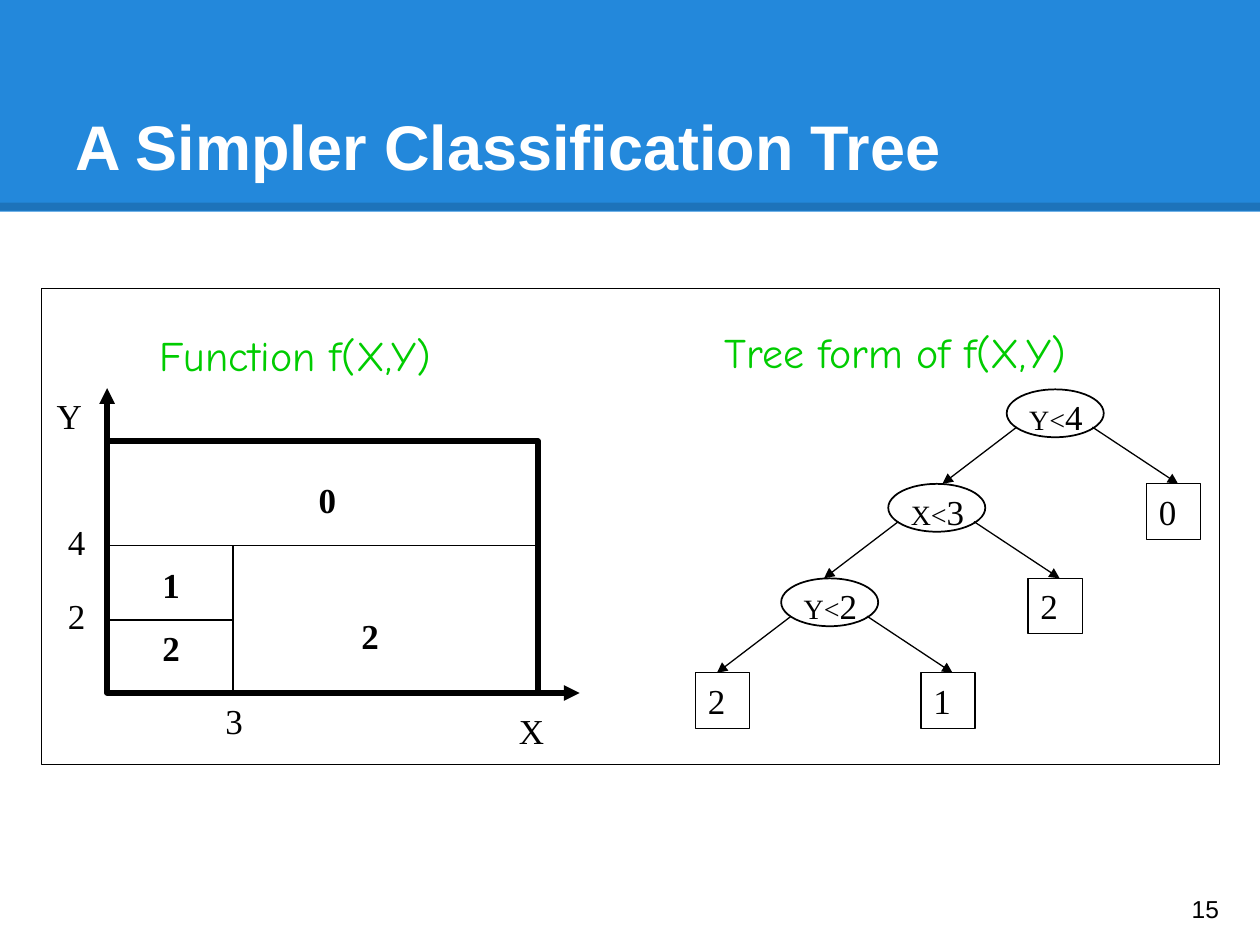
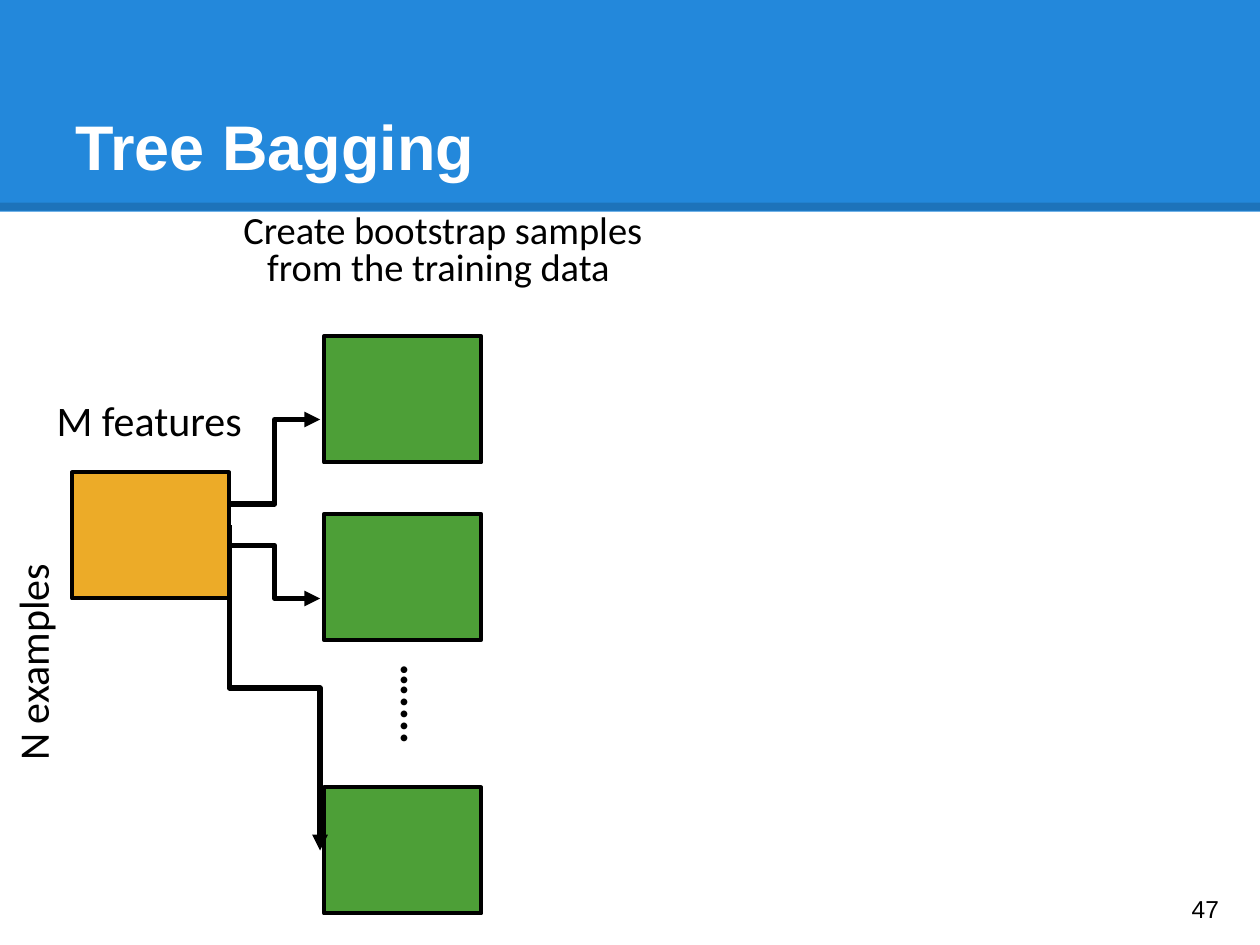
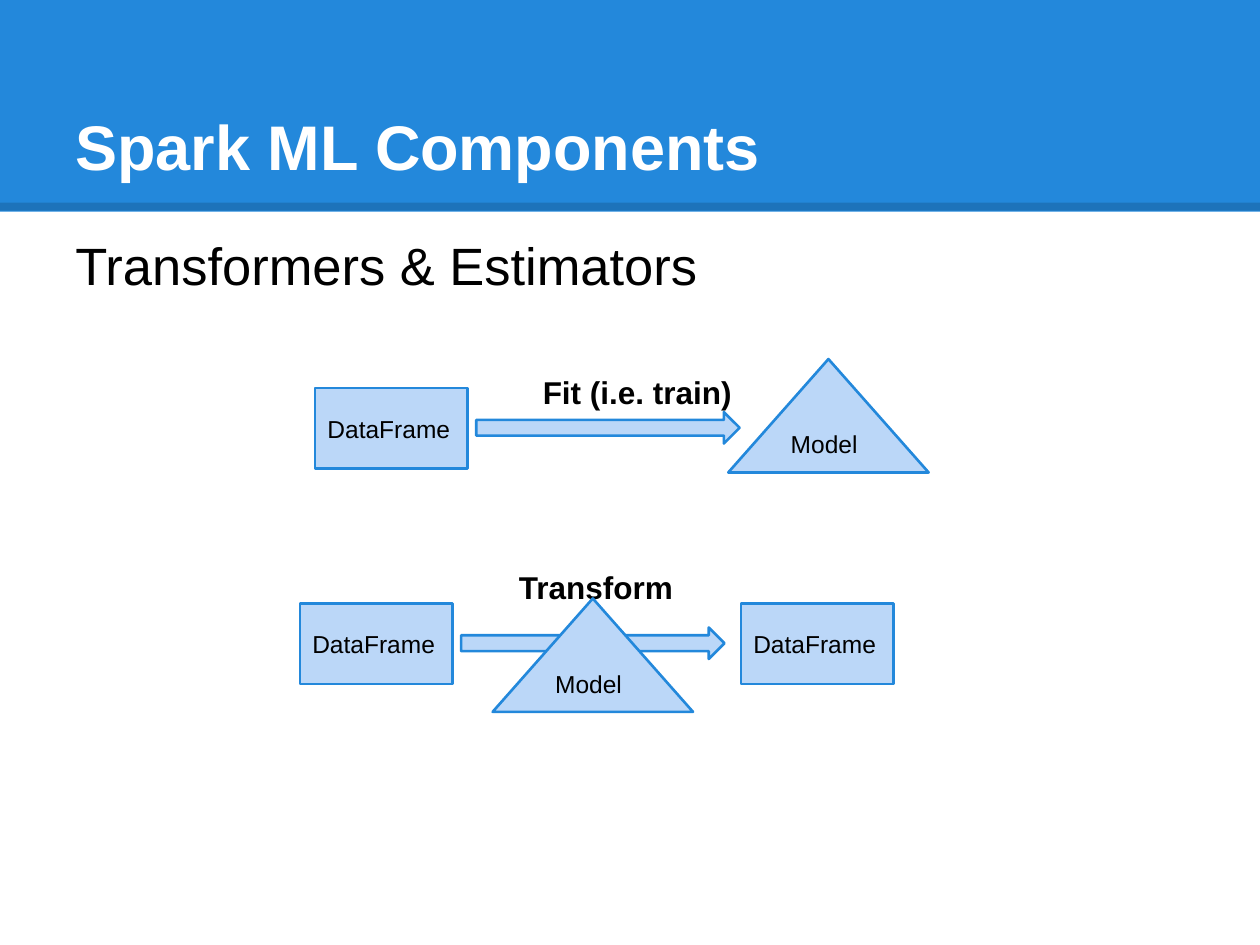
import pptx
import pptx.util
import pptx.dml.color
import pptx.enum.shapes
import pptx.enum.text
import pptx.oxml
import pptx.oxml.ns
import lxml.etree

Inches = pptx.util.Inches
Shape = pptx.enum.shapes.MSO_SHAPE
Connector = pptx.enum.shapes.MSO_CONNECTOR
Anchor = pptx.enum.text.MSO_ANCHOR
Align = pptx.enum.text.PP_ALIGN

BLACK, WHITE, BLUE, PALE_BLUE = "000000", "FFFFFF", "2388DB", "BBD7F8"
GREEN, ORANGE, BRIGHT_GREEN = "4D9F37", "ECAB28", "00CC00"
SERIF = "Times New Roman"


def paint(item, line=None, width=0.75, fill=None, arrow=False):
    rgb = pptx.dml.color.RGBColor.from_string
    if line:
        item.line.color.rgb = rgb(line)
        item.line.width = pptx.util.Pt(width)
    else:
        item.line.fill.background()
    if hasattr(item, "fill"):
        item.shadow.inherit = False
        if fill:
            item.fill.solid()
            item.fill.fore_color.rgb = rgb(fill)
        else:
            item.fill.background()
    else:
        lxml.etree.SubElement(item._element.spPr, pptx.oxml.ns.qn("a:effectLst"))
    if arrow:
        tail = lxml.etree.SubElement(item.line._get_or_add_ln(), pptx.oxml.ns.qn("a:tailEnd"))
        tail.set("type", "triangle")
    return item


def write(slide, at, text, sizes=(20,), font="Arial", color=BLACK, bold=False, shape=None,
          inset=0.05, anchor=Anchor.TOP, align=Align.LEFT, spacing=None, rotation=0):
    frame = [Inches(length) for length in at]
    box = slide.shapes.add_shape(shape, *frame) if shape else slide.shapes.add_textbox(*frame)
    box.rotation = rotation
    body = box.text_frame
    body.word_wrap = True
    body.vertical_anchor = anchor
    body.margin_left = body.margin_right = Inches(0.1)
    body.margin_top = body.margin_bottom = Inches(inset)
    for index, line in enumerate(text.split("\n")):
        para = body.add_paragraph() if index else body.paragraphs[0]
        para.alignment = align
        para.line_spacing = spacing
        for words, size in zip(line.split("|"), sizes):
            span = para.add_run()
            span.text = words
            span.font.name = font
            span.font.size = pptx.util.Pt(size)
            span.font.bold = bold
            span.font.color.rgb = pptx.dml.color.RGBColor.from_string(color)
    return box


deck = pptx.Presentation()
deck.slide_width, deck.slide_height = Inches(10), Inches(7.5)

pages = []
for title, number in [("A Simpler Classification Tree", "15"), ("Tree Bagging", "47"),
                      ("Spark ML Components", None)]:
    page = deck.slides.add_slide(deck.slide_layouts[6])
    band = page.shapes.add_shape(Shape.RECTANGLE, 0, 0, Inches(10), Inches(1.68))
    paint(band, fill=BLUE)
    rule = page.shapes.add_connector(Connector.STRAIGHT, 0, Inches(1.64), Inches(10), Inches(1.64))
    paint(rule, BLACK, 4.5)
    shade = rule.line._get_or_add_ln().find(".//" + pptx.oxml.ns.qn("a:srgbClr"))
    lxml.etree.SubElement(shade, pptx.oxml.ns.qn("a:alpha")).set("val", "15000")
    write(page, (0.5, 0.3, 9, 1.25), title, sizes=(36,), color=WHITE, bold=True,
          inset=0.1, anchor=Anchor.BOTTOM)
    if number:
        write(page, (9.36, 6.93, 0.6, 0.57), number, sizes=(14,), inset=0.1, anchor=Anchor.MIDDLE)
    pages.append(page)
tree_page, bagging_page, spark_page = pages

for at, width in [((0.33, 2.29, 9.35, 3.78), 0.75), ((0.85, 3.5, 3.42, 2), 3)]:
    outline = tree_page.shapes.add_shape(Shape.RECTANGLE, *[Inches(length) for length in at])
    paint(outline, BLACK, width)

for left, top, words in [(1.17, 2.57, "Function f(X,Y)"), (5.65, 2.54, "Tree form of f(X,Y)")]:
    write(tree_page, (left, top, 3.33, 0.5), words, sizes=(24,), font="Comic Neue", color=BRIGHT_GREEN)

for left, top, words in [(1.19, 4.92, "2"), (2.43, 3.75, "0"), (2.77, 4.83, "2"), (1.19, 4.42, "1")]:
    write(tree_page, (left, top, 0.35, 0.43), words, font=SERIF, bold=True)

for left, top, words in [(1.69, 5.5, "3"), (0.44, 4.08, "4"), (0.44, 4.67, "2"),
                         (4.02, 5.58, "X"), (0.35, 3.08, "Y")]:
    write(tree_page, (left, top, 0.42, 0.43), words, font=SERIF)

segments = [
    ((0.85, 4.33, 4.27, 4.33), 0.75, False),
    ((1.85, 4.33, 1.85, 5.5), 0.75, False),
    ((1.85, 4.92, 0.85, 4.92), 0.75, False),
    ((4.02, 5.5, 4.6, 5.5), 3, True),
    ((0.85, 3.83, 0.85, 3.08), 3, True),
]
leaves = [(5.52, 5.34, "2")]
for level, (left, test, leaf) in enumerate([(7.99, "Y<|4", "0"), (7.05, "X<|3", "2"), (6.2, "Y<|2", "1")]):
    top = 3.09 + 0.75 * level
    node = tree_page.shapes.add_shape(Shape.OVAL, Inches(left), Inches(top), Inches(0.77), Inches(0.38))
    paint(node, BLACK, 1)
    write(tree_page, (left + 0.08, top, 0.68, 0.43), test, sizes=(16, 20), font=SERIF)
    segments.append(((left + 0.08, top + 0.3, left - 0.51, top + 0.75), 0.75, True))
    segments.append(((left + 0.68, top + 0.3, left + 1.36, top + 0.75), 0.75, True))
    leaves.append((left + 1.11, top + 0.75, leaf))

for ends, width, arrow in segments:
    segment = tree_page.shapes.add_connector(Connector.STRAIGHT, *[Inches(end) for end in ends])
    paint(segment, BLACK, width, arrow=arrow)

for left, top, value in leaves:
    paint(write(tree_page, (left, top, 0.43, 0.44), value, font=SERIF, shape=Shape.RECTANGLE), BLACK)

write(bagging_page, (-1.03, 4.6, 2.57, 0.5), "N examples", sizes=(24,), font="Calibri", rotation=270)
write(bagging_page, (0.35, 3.08, 1.69, 0.5), "M features", sizes=(24,), font="Calibri")
write(bagging_page, (0.43, 1.66, 6.17, 0.69), "Create bootstrap samples\nfrom the training data ",
      sizes=(22,), font="Calibri", align=Align.CENTER, spacing=0.8)
write(bagging_page, (2.66, 5.32, 0.85, 0.53), "....…", sizes=(26,), font="Calibri", bold=True, rotation=270)

for left, top, fill in [(2.57, 2.67, GREEN), (2.57, 4.08, GREEN), (2.57, 6.25, GREEN), (0.57, 3.75, ORANGE)]:
    sample = bagging_page.shapes.add_shape(Shape.RECTANGLE, Inches(left), Inches(top), Inches(1.25), Inches(1))
    paint(sample, BLACK, 2.25, fill)

for ends, turn in [((1.82, 4, 2.54, 3.33), 0), ((1.82, 4.33, 2.54, 4.75), 0), ((3.47, 5.1, 0.89, 5.82), 270)]:
    elbow = bagging_page.shapes.add_connector(Connector.ELBOW, *[Inches(end) for end in ends])
    if turn:
        elbow._element.spPr.find(pptx.oxml.ns.qn("a:xfrm")).set("rot", str(turn * 60000))
    paint(elbow, BLACK, 3, arrow=True)

write(spark_page, (0.5, 1.75, 9, 0.9), "Transformers & Estimators", sizes=(30,), inset=0.1)

for left, top in [(3.66, 4.98), (3.78, 3.27)]:
    arrow = spark_page.shapes.add_shape(Shape.RIGHT_ARROW, Inches(left), Inches(top), Inches(2.09), Inches(0.25))
    paint(arrow, BLUE, 1.5, PALE_BLUE)

for left, top, words in [(4.02, 4.41, "Transform"), (4.21, 2.86, "Fit (i.e. train)")]:
    write(spark_page, (left, top, 1.87, 0.57), words, sizes=(18,), bold=True, inset=0.1)

frame_size, model_size = (1.21, 0.64), (1.59, 0.9)
for place, size, words, shape in [
    ((2.38, 4.79), frame_size, "DataFrame", Shape.RECTANGLE),
    ((5.88, 4.79), frame_size, "DataFrame", Shape.RECTANGLE),
    ((2.5, 3.08), frame_size, "DataFrame", Shape.RECTANGLE),
    ((5.78, 2.85), model_size, "Model", Shape.ISOSCELES_TRIANGLE),
    ((3.91, 4.75), model_size, "Model", Shape.ISOSCELES_TRIANGLE),
]:
    component = write(spark_page, place + size, words, sizes=(14,), shape=shape,
                      inset=0.1, anchor=Anchor.MIDDLE)
    paint(component, BLUE, 1.5, PALE_BLUE)

deck.save("out.pptx")
